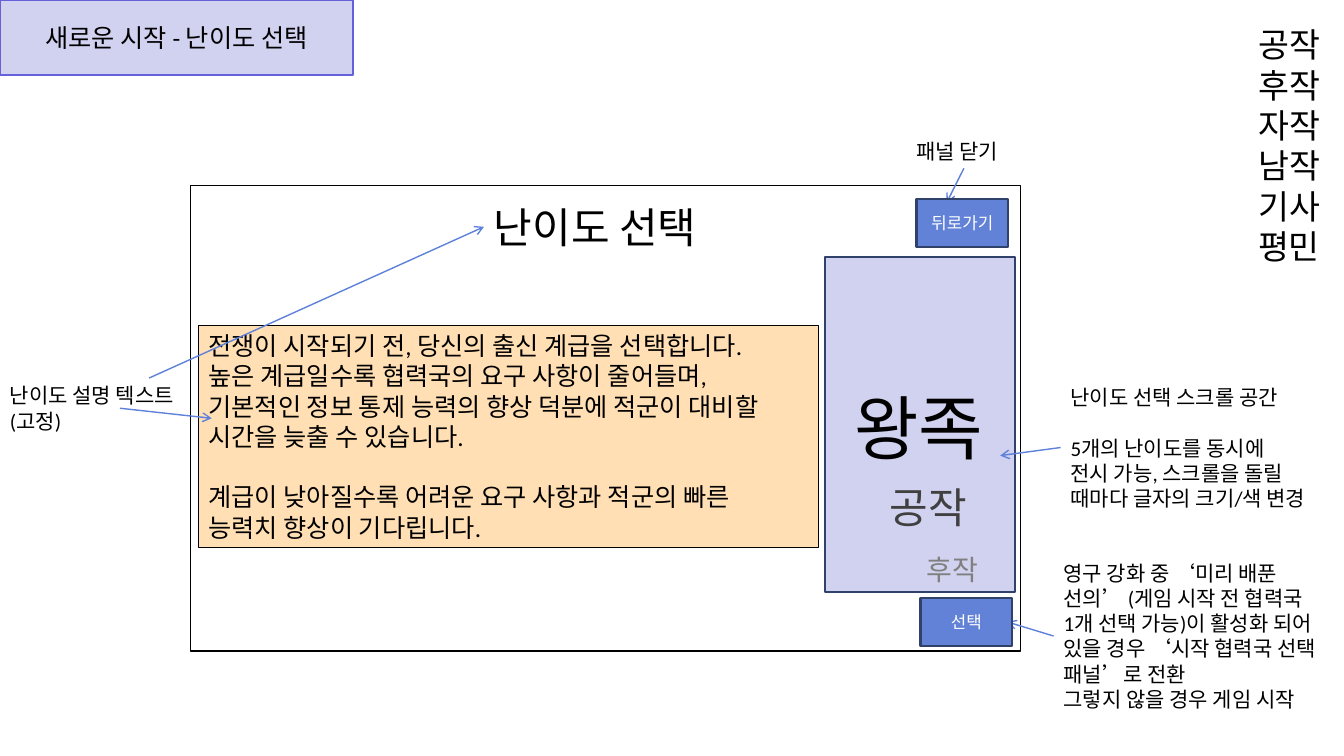
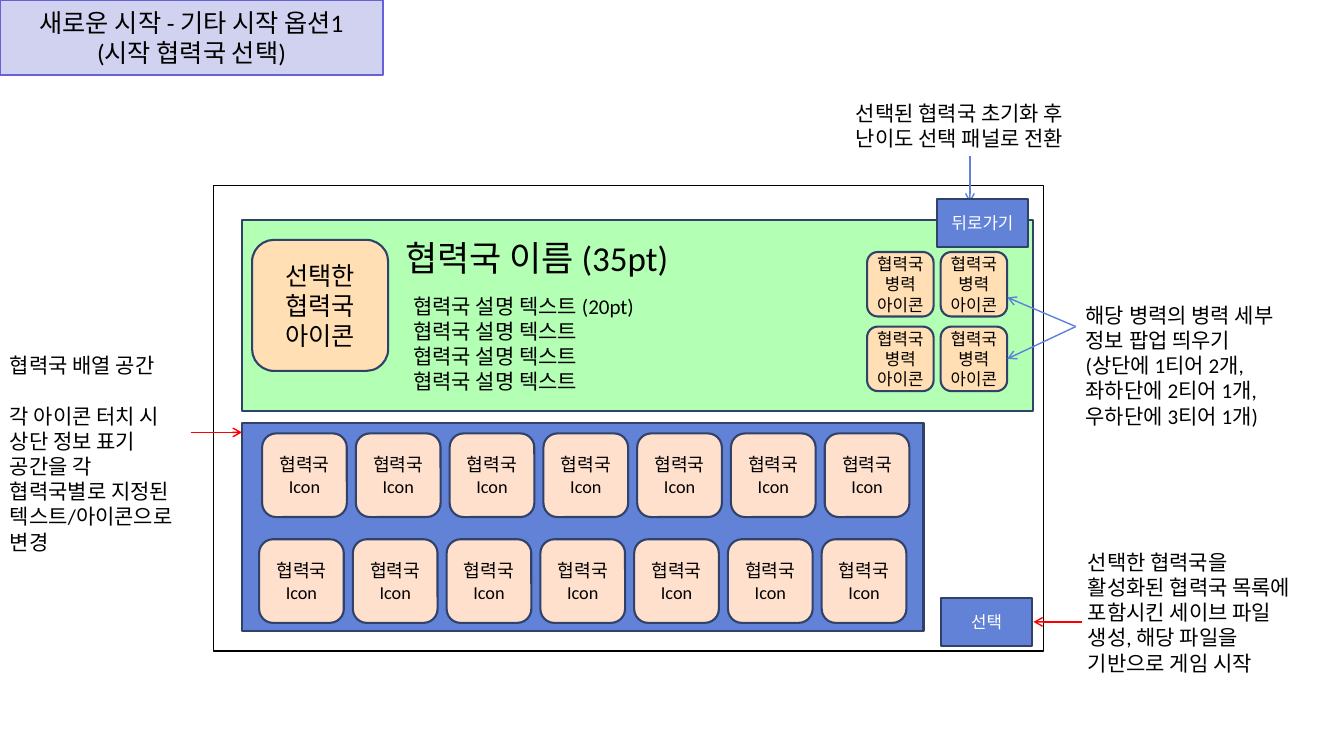
"""Builds two wireframe slides for a game's new-start flow."""
from itertools import product

from lxml import etree
from pptx import Presentation
from pptx.dml.color import RGBColor
from pptx.enum.shapes import MSO_CONNECTOR, MSO_SHAPE
from pptx.enum.text import MSO_ANCHOR, MSO_AUTO_SIZE, PP_ALIGN
from pptx.oxml.ns import qn
from pptx.util import Inches, Pt

FONT = "Calibri"
BLACK, WHITE, RED = "000000", "FFFFFF", "FF0000"
NAVY, BLUE, ARROW = "30416A", "6182D6", "5E81D9"
LILAC, VIOLET, ORANGE, PEACH, GREEN = "D1D1F0", "6660DA", "FFDFB3", "FFE0CC", "B3FFB3"
RECT, ROUND = MSO_SHAPE.RECTANGLE, MSO_SHAPE.FLOWCHART_ALTERNATE_PROCESS
LEFT, CENTER, RIGHT = PP_ALIGN.LEFT, PP_ALIGN.CENTER, PP_ALIGN.RIGHT
GAP = None

DIFFICULTY = {
    "title": (3.5, ["새로운 시작 - 난이도 선택"]),
    "panels": [((8.18, 2.55, 1.89, 3.32), LILAC)],
    "frame": 1.89,
    "buttons": 9.09,
    "labels": [
        ((4.8, 1.95, 2.41, 0.59), 30, ["난이도 선택"]),
        ((0, 3.75, 2, 0.59), 15, ["난이도 설명 텍스트", "(고정)"]),
        ((10.52, 3.77, 2.74, 1.35), 15, [
            "난이도 선택 스크롤 공간", GAP, "5개의 난이도를 동시에",
            "전시 가능, 스크롤을 돌릴", "때마다 글자의 크기/색 변경"]),
        ((8.99, 1.32, 1.12, 0.35), 15, ["패널 닫기"]),
        ((10.45, 5.51, 2.89, 1.59), 15, [
            "영구 강화 중 ‘미리 배푼", "선의’ (게임 시작 전 협력국",
            "1개 선택 가능)이 활성화 되어", "있을 경우 ‘시작 협력국 선택",
            "패널’로 전환", "그렇지 않을 경우 게임 시작"]),
    ],
    "arrows": [
        ((1.19, 4.05), (2.1, 4.15), ARROW),
        ((10.52, 4.44), (9.92, 4.52), ARROW),
        ((1.48, 3.75), (4.8, 2.25), ARROW),
        ((9.56, 1.67), (9.39, 2.01), ARROW),
        ((10.45, 6.31), (9.99, 6.17), ARROW),
    ],
}
DESCRIPTION = [
    "전쟁이 시작되기 전, 당신의 출신 계급을 선택합니다.",
    "높은 계급일수록 협력국의 요구 사항이 줄어들며,",
    "기본적인 정보 통제 능력의 향상 덕분에 적군이 대비할",
    "시간을 늦출 수 있습니다.", GAP,
    "계급이 낮아질수록 어려운 요구 사항과 적군의 빠른",
    "능력치 향상이 기다립니다."]
RANKS = [
    ((12.05, 0.19, 1.14, 2.49), 24, "공작 후작 자작 남작 기사 평민", BLACK),
    ((8, 3.77, 1.85, 0.92), 50, "왕족", BLACK),
    ((8.69, 4.73, 1, 0.59), 30, "공작", "404040"),
    ((8.69, 5.43, 1.11, 0.43), 20, "후작", "808080"),
]
ALLY = {
    "title": (3.8, ["새로운 시작 - 기타 시작 옵션1", "(시작 협력국 선택)"]),
    "panels": [((2.4, 2.18, 7.85, 1.9), GREEN), ((2.4, 4.2, 6.76, 2.06), BLUE)],
    "frame": 2.12,
    "buttons": 9.29,
    "wrap": True,
    "labels": [
        ((8.39, 0.95, 2.46, 0.6), 15, ["선택된 협력국 초기화 후", "난이도 선택 패널로 전환"]),
        ((0, 3.45, 1.98, 2.1), 15, [
            "협력국 배열 공간", GAP, "각 아이콘 터치 시 상단 정보 표기",
            "공간을 각 협력국별로 지정된", "텍스트/아이콘으로", "변경"]),
        ((3.92, 2.3, 3.15, 0.51), 25, ["협력국 이름 (35pt)"]),
        ((4, 2.86, 4.79, 1.1), 15, ["협력국 설명 텍스트 (20pt)"] + ["협력국 설명 텍스트"] * 3),
        ((10.69, 5.4, 2.42, 1.35), 15, [
            "선택한 협력국을",
            "활성화된 협력국 목록에 포함시킨 세이브 파일 생성, 해당 파일을 기반으로 게임 시작"]),
        ((10.67, 2.95, 2.46, 1.34), 15, [
            "해당 병력의 병력 세부 정보 팝업 띄우기", "(상단에 1티어 2개,",
            "좌하단에 2티어 1개,", "우하단에 3티어 1개)"]),
    ],
    "arrows": [
        ((9.62, 1.55), (9.62, 2.01), ARROW),
        ((1.89, 4.29), (2.4, 4.29), RED),
        ((10.73, 6.17), (10.25, 6.17), RED),
        ((10.67, 3.24), (9.99, 2.95), ARROW),
        ((10.67, 3.24), (9.99, 3.56), ARROW),
    ],
}


def rgb(color):
    return RGBColor.from_string(color)


def paint(sp, fill, line, width):
    if fill:
        sp.fill.solid()
        sp.fill.fore_color.rgb = rgb(fill)
    else:
        sp.fill.background()
    sp.line.color.rgb = rgb(line)
    sp.line.width = Pt(width)


def write(sp, lines, size, color=BLACK, align=LEFT, anchor=MSO_ANCHOR.TOP, wrap=True):
    tf = sp.text_frame
    tf.word_wrap = wrap
    tf.auto_size = MSO_AUTO_SIZE.NONE
    tf.vertical_anchor = anchor
    after_gap = False
    for i, line in enumerate(lines):
        if line is GAP:
            after_gap = True
            continue
        p = tf.paragraphs[0] if i == 0 else tf.add_paragraph()
        p.alignment = align
        if after_gap:
            p.space_before = Pt(size * 1.2)
            after_gap = False
        r = p.add_run()
        r.text = line
        r.font.name, r.font.size, r.font.color.rgb = FONT, Pt(size), rgb(color)


def box(slide, at, fill, line=NAVY, width=1.5, kind=RECT):
    sp = slide.shapes.add_shape(kind, *map(Inches, at))
    sp.shadow.inherit = False
    paint(sp, fill, line, width)
    return sp


def label(slide, at, size, lines, **style):
    write(slide.shapes.add_textbox(*map(Inches, at)), lines, size, **style)


def icon(slide, at, fill, size, lines, inset=0):
    sp = box(slide, at, fill, kind=ROUND)
    tf = sp.text_frame
    tf.margin_left = tf.margin_right = Inches(inset)
    tf.margin_top = tf.margin_bottom = Inches(inset / 2)
    write(sp, lines, size, align=CENTER, anchor=MSO_ANCHOR.MIDDLE)


def arrow(slide, start, end, color):
    c = slide.shapes.add_connector(MSO_CONNECTOR.STRAIGHT, *map(Inches, start + end))
    c.line.color.rgb = rgb(color)
    c.line.width = Pt(1)
    etree.SubElement(c.line._get_or_add_ln(), qn("a:tailEnd"), type="arrow")
    etree.SubElement(c._element.spPr, qn("a:effectLst"))


def title_band(slide, width, lines):
    sp = slide.shapes.title
    sp.left, sp.top, sp.width, sp.height = map(Inches, (0, 0, width, 0.74))
    geom = etree.SubElement(sp._element.spPr, qn("a:prstGeom"), prst="homePlate")
    etree.SubElement(geom, qn("a:avLst"))
    paint(sp, LILAC, VIOLET, 1.5)
    write(sp, lines, 18, align=CENTER, anchor=MSO_ANCHOR.MIDDLE)


def wireframe(prs, spec_data):
    slide = prs.slides.add_slide(prs.slide_layouts[5])
    title_band(slide, *spec_data["title"])
    for at, fill in spec_data["panels"]:
        box(slide, at, fill)
    box(slide, (spec_data["frame"], 1.84, 8.23, 4.62), None, BLACK, 1)
    return slide


def annotate(slide, spec_data):
    for at, size, lines in spec_data["labels"]:
        label(slide, at, size, lines, wrap=spec_data.get("wrap", False))
    for start, end, color in spec_data["arrows"]:
        arrow(slide, start, end, color)
    x = spec_data["buttons"]
    for left, top, text in ((x, 1.97, "뒤로가기"), (x + 0.04, 5.93, "선택")):
        sp = box(slide, (left, top, 0.91, 0.48), BLUE)
        write(sp, [text], 12, WHITE, CENTER, MSO_ANCHOR.MIDDLE)


def difficulty_slide(prs):
    slide = wireframe(prs, DIFFICULTY)
    sp = box(slide, (1.97, 3.23, 6.15, 2.2), ORANGE, BLACK, 0.75)
    write(sp, DESCRIPTION, 18, wrap=False)
    for at, size, text, color in RANKS:
        label(slide, at, size, [text], color=color, align=RIGHT)
    annotate(slide, DIFFICULTY)


def ally_slide(prs):
    slide = wireframe(prs, ALLY)
    icon(slide, (2.5, 2.38, 1.35, 1.3), ORANGE, 18, ["선택한", "협력국", "아이콘"], 0.1)
    for row, col in product(range(2), range(7)):
        at = (2.6 - 0.03 * row + 0.93 * col, 4.3 + 1.05 * row, 0.84, 0.83)
        icon(slide, at, PEACH, 13, ["협력국", "Icon"])
    for row, col in product(range(2), repeat=2):
        at = (8.6 + 0.73 * col, 2.5 + 0.74 * row, 0.66, 0.64)
        icon(slide, at, ORANGE, 12, ["협력국", "병력", "아이콘"])
    annotate(slide, ALLY)


def main():
    prs = Presentation()
    prs.slide_width, prs.slide_height = Inches(13.33), Inches(7.5)
    difficulty_slide(prs)
    ally_slide(prs)
    prs.save("out.pptx")


if __name__ == "__main__":
    main()
